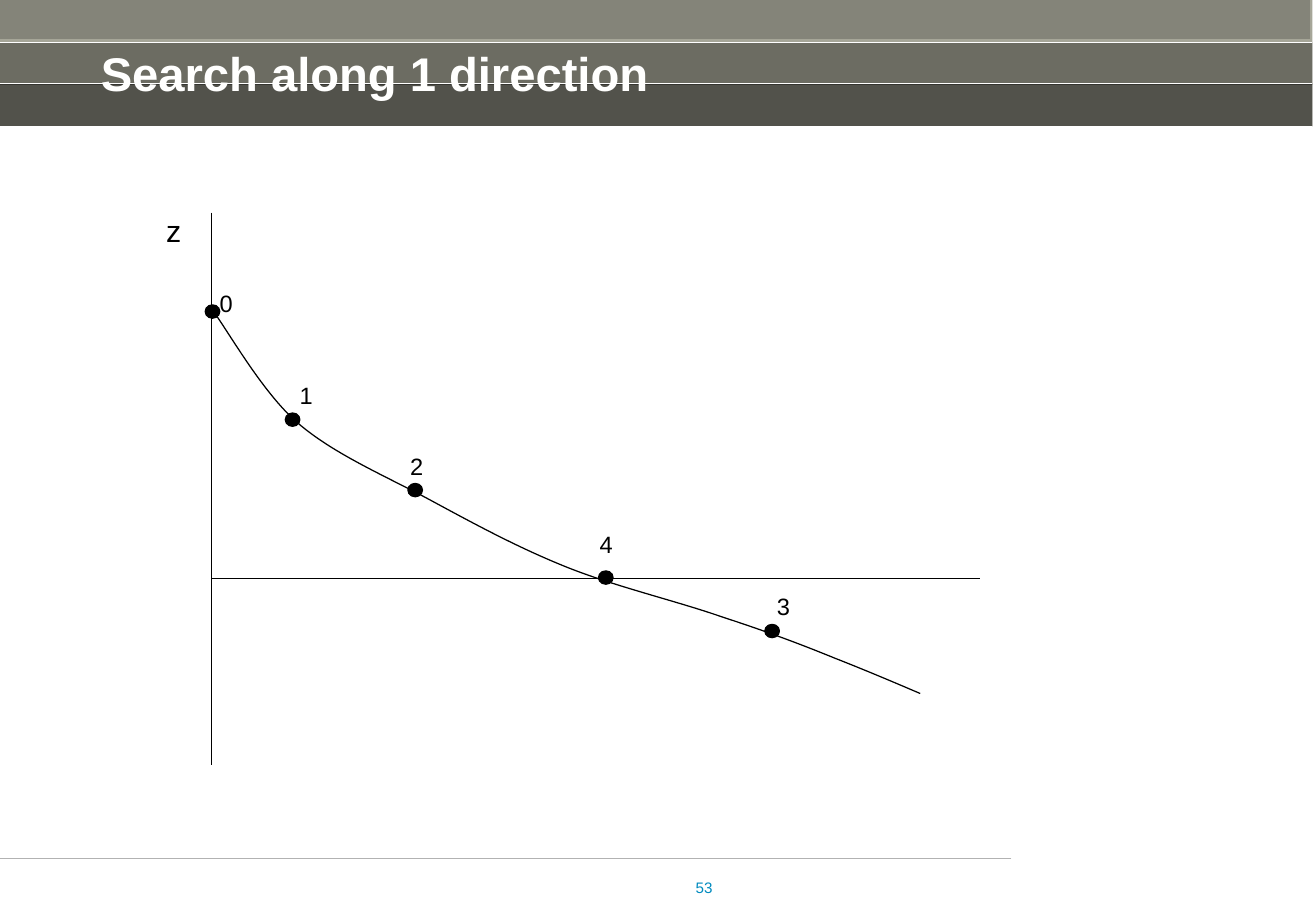
"""Build the slide on searching along one direction, with its curve of z."""
from lxml import etree
from pptx import Presentation
from pptx.dml.color import RGBColor
from pptx.enum.shapes import MSO_CONNECTOR, MSO_SHAPE
from pptx.enum.text import MSO_ANCHOR, MSO_AUTO_SIZE, PP_ALIGN
from pptx.oxml.ns import qn
from pptx.util import Pt

STRAIGHT = MSO_CONNECTOR.STRAIGHT
RECTANGLE, OVAL = MSO_SHAPE.RECTANGLE, MSO_SHAPE.OVAL
LEFT, RIGHT = PP_ALIGN.LEFT, PP_ALIGN.RIGHT
TOP, MIDDLE = MSO_ANCHOR.TOP, MSO_ANCHOR.MIDDLE
NO_FIT = MSO_AUTO_SIZE.NONE

EMU_PER_PX = 9144
FONT = "Arial"
COLORS = {
    "banner": "A6A698", "ink": "000000", "title": "FFFFFE",
    "stripe": "FFFFFF", "footer": "B2B2B2", "number": "008BBF",
}

TITLE = "Search along 1 direction"
PAGE_NUMBER = "53"
BANNER_WIDTH = 1081
BANDS = [
    (0, 0, 104, "banner", 100),
    (-2, -3, 35, "ink", 20),
    (0, 35, 35, "ink", 35),
    (0, 69, 35, "ink", 50),
]
RULES = [((0, y), (BANNER_WIDTH, y), "stripe") for y in (35, 69, 104)]
RULES.append(((833, 707), (0, 707), "footer"))

AXES = [(174, 175), (174, 476), (807, 476)]
AXIS_BELOW = ((174, 475), (174, 630), "ink")
CURVE = [
    (174, 254),
    (186, 269), (215, 322), (245, 348),
    (275, 374), (318, 392), (355, 412),
    (392, 432), (427, 451), (467, 467),
    (507, 483), (558, 495), (595, 508),
    (632, 520), (661, 531), (688, 542),
    (716, 553), (744, 565), (758, 571),
]
DOT_SIZE = (12, 11)
SEARCH_POINTS = [
    ("0", (169, 251), (171, 233)),
    ("1", (235, 340), (237, 309)),
    ("2", (336, 398), (328, 367)),
    ("3", (630, 514), (630, 482)),
    ("4", (493, 470), (484, 431)),
]


def px(*lengths):
    return [length * EMU_PER_PX for length in lengths]


def rgb(name):
    return RGBColor.from_string(COLORS[name])


def add_rule(shapes, start, end, color):
    rule = shapes.add_connector(STRAIGHT, *px(*start, *end))
    rule.line.color.rgb = rgb(color)
    rule.line.width = Pt(0.75)
    etree.SubElement(rule._element.spPr, qn("a:effectLst"))


def add_band(shapes, left, top, height, color, opacity):
    band = shapes.add_shape(RECTANGLE, *px(left, top, BANNER_WIDTH, height))
    band.shadow.inherit = False
    band.fill.solid()
    band.fill.fore_color.rgb = rgb(color)
    band.line.fill.background()
    if opacity < 100:
        tint = band._element.spPr.find(".//" + qn("a:srgbClr"))
        etree.SubElement(tint, qn("a:alpha"), val=str(opacity * 1000))


def add_outline(shapes, points):
    corners = [px(*point) for point in points]
    builder = shapes.build_freeform(*corners[0])
    builder.add_line_segments(corners[1:], close=False)
    outline = builder.convert_to_shape()
    outline.shadow.inherit = False
    outline.fill.background()
    outline.line.color.rgb = rgb("ink")
    outline.line.width = Pt(0.75)
    return outline


def bend(outline):
    track = outline._element.find(".//" + qn("a:path"))
    steps = track.findall(qn("a:lnTo"))
    for first in range(0, len(steps), 3):
        arc = etree.SubElement(track, qn("a:cubicBezTo"))
        for step in steps[first:first + 3]:
            arc.append(step[0])
            track.remove(step)


def write(holder, text, size, color, margins, align=LEFT, anchor=TOP, wrap=False, bold=False):
    frame = holder.text_frame
    frame.text = text
    frame.word_wrap = wrap
    frame.auto_size = NO_FIT
    frame.vertical_anchor = anchor
    frame.margin_left = frame.margin_right = px(margins[0])[0]
    frame.margin_top = frame.margin_bottom = px(margins[1])[0]
    paragraph = frame.paragraphs[0]
    paragraph.alignment = align
    paragraph.font.name = FONT
    paragraph.font.size = Pt(size)
    paragraph.font.bold = bold
    paragraph.font.color.rgb = rgb(color)


def add_label(shapes, text, position, box, size):
    label = shapes.add_textbox(*px(*position, *box))
    write(label, text, size, "ink", (10, 5))


def add_dot(shapes, position):
    dot = shapes.add_shape(OVAL, *px(*position, *DOT_SIZE))
    dot.shadow.inherit = False
    dot.fill.solid()
    dot.fill.fore_color.rgb = rgb("ink")
    dot.line.color.rgb = rgb("ink")
    dot.line.width = Pt(0.75)


def main():
    deck = Presentation()
    deck.slide_width, deck.slide_height = px(1084, 750)
    slide = deck.slides.add_slide(deck.slide_layouts[5])
    shapes = slide.shapes

    for band in BANDS:
        add_band(shapes, *band)
    for rule in RULES:
        add_rule(shapes, *rule)

    number = shapes.add_textbox(*px(531, 723, 56, 35))
    write(number, PAGE_NUMBER, 9, "number", (0, 0), align=RIGHT, wrap=True)

    title = shapes.title
    title.left, title.top, title.width, title.height = px(83, 26, 971, 67)
    write(title, TITLE, 28, "title", (0, 5), anchor=MIDDLE, wrap=True, bold=True)
    shapes._spTree.append(title._element)

    add_outline(shapes, AXES)
    bend(add_outline(shapes, CURVE))
    add_label(shapes, "z", (127, 170), (32, 40), 18)
    for name, dot_position, label_position in SEARCH_POINTS:
        add_dot(shapes, dot_position)
        add_label(shapes, name, label_position, (31, 34), 14)
    add_rule(shapes, *AXIS_BELOW)

    deck.save("out.pptx")


if __name__ == "__main__":
    main()
